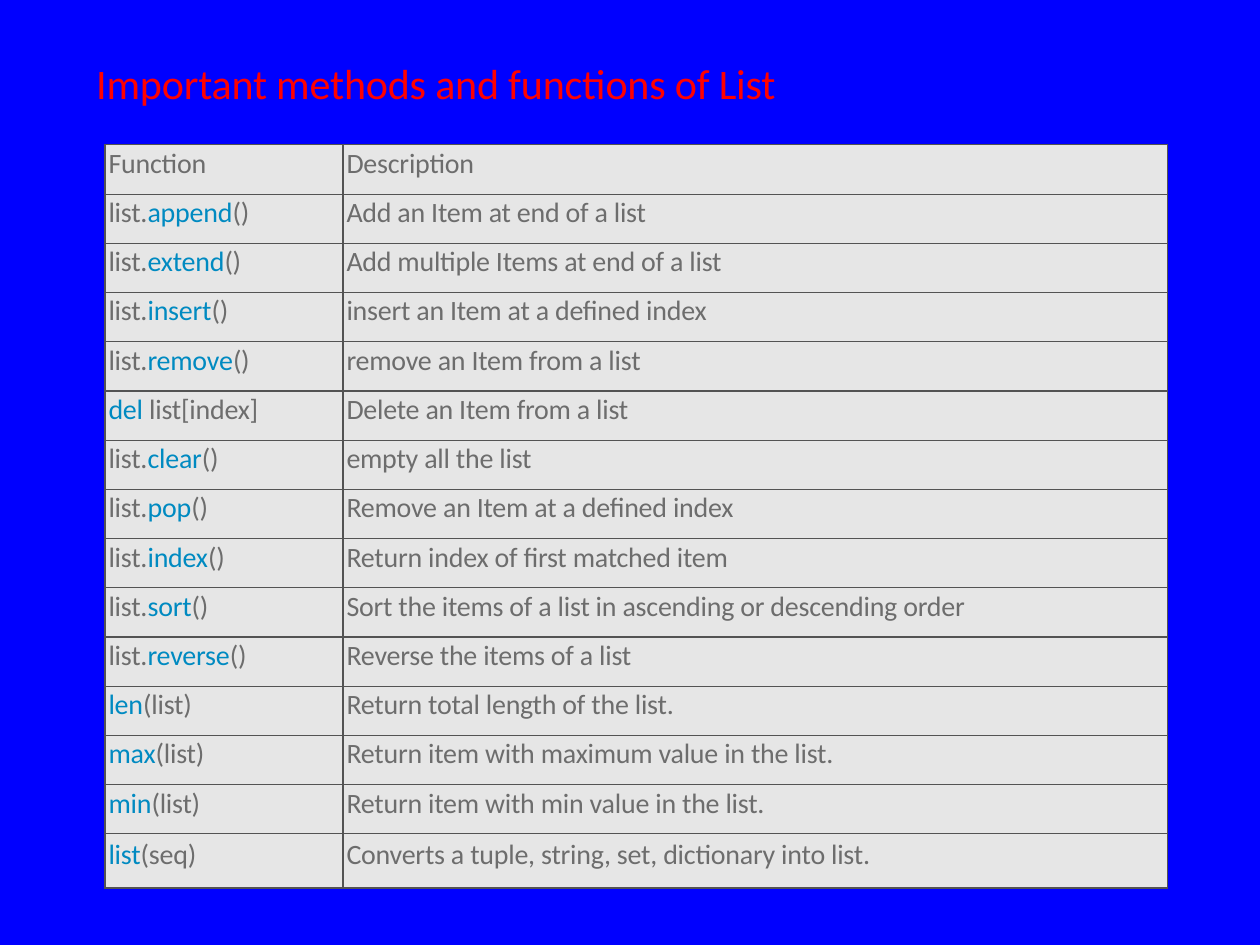
from lxml import etree
from pptx import Presentation
from pptx.dml.color import RGBColor
from pptx.oxml.ns import qn
from pptx.util import Pt

FONT = "Calibri"
COLORS = {
    "background": "0000FF",
    "title": "FF0000",
    "text": "6D6D6D",
    "keyword": "008AC1",
    "cell": "E6E6E6",
    "border": "535353",
}
HEADER = ("Function", "Description")
METHODS = [
    (("list.", "append", "()"), "Add an Item at end of a list"),
    (("list.", "extend", "()"), "Add multiple Items at end of a list"),
    (("list.", "insert", "()"), "insert an Item at a defined index"),
    (("list.", "remove", "()"), "remove an Item from a list"),
    (("", "del ", "list[index]"), "Delete an Item from a list"),
    (("list.", "clear", "()"), "empty all the list"),
    (("list.", "pop", "()"), "Remove an Item at a defined index"),
    (("list.", "index", "()"), "Return index of first matched item"),
    (("list.", "sort", "()"), "Sort the items of a list in ascending or descending order"),
    (("list.", "reverse", "()"), "Reverse the items of a list"),
    (("", "len", "(list)"), "Return total length of the list."),
    (("", "max", "(list)"), "Return item with maximum value in the list."),
    (("", "min", "(list)"), "Return item with min value in the list."),
    (("", "list", "(seq)"), "Converts a tuple, string, set, dictionary into list."),
]


def rgb(name):
    """Return the named colour."""
    return RGBColor.from_string(COLORS[name])


def set_margins(box, top):
    """Remove the insets of a cell or text frame, except the top one."""
    box.margin_left = box.margin_right = box.margin_bottom = 0
    box.margin_top = Pt(top)


def write(p, runs, size, indent, before):
    """Fill a paragraph with (text, colour) runs."""
    p.font.name, p.font.size = FONT, Pt(size)
    p.space_before = Pt(before)
    pPr = p._p.get_or_add_pPr()
    pPr.set("marL", str(Pt(indent)))
    pPr.set("indent", "0")
    for text, color in runs:
        if text:
            r = p.add_run()
            r.text = text
            r.font.color.rgb = rgb(color)
            r._r.get_or_add_rPr().set("spc", "-10")


def set_borders(cell, width):
    """Draw all four sides of a cell."""
    tcPr = cell._tc.get_or_add_tcPr()
    for i, side in enumerate(("a:lnL", "a:lnR", "a:lnT", "a:lnB")):
        ln = etree.Element(qn(side), w=str(Pt(width)))
        fill = etree.SubElement(ln, qn("a:solidFill"))
        etree.SubElement(fill, qn("a:srgbClr"), val=COLORS["border"])
        tcPr.insert(i, ln)


def add_title(slide, x, y, w, h):
    """Place the slide heading."""
    tf = slide.shapes.add_textbox(Pt(x), Pt(y), Pt(w), Pt(h)).text_frame
    tf.word_wrap = True
    set_margins(tf, 1)
    write(tf.paragraphs[0], [("Important methods and functions of List", "title")], 24, 1, 1)


def add_methods_table(slide, x, y, w, h):
    """Place the table of list functions, with a slightly taller last row."""
    rows = [([(HEADER[0], "text")], HEADER[1])]
    rows += [(list(zip(call, ("text", "keyword", "text"))), note) for call, note in METHODS]
    last = len(rows) - 1
    last_h, first_w = 31, 136
    row_h = (h - last_h) / last
    table = slide.shapes.add_table(len(rows), 2, Pt(x), Pt(y), Pt(w), Pt(h)).table
    table.first_row = table.horz_banding = False
    table.columns[0].width, table.columns[1].width = Pt(first_w), Pt(w - first_w)
    for i, (call, note) in enumerate(rows):
        table.rows[i].height = Pt(last_h if i == last else row_h)
        top = 2.2 if i == last else 1
        for j, runs in enumerate((call, [(note, "text")])):
            cell = table.cell(i, j)
            set_margins(cell, top)
            cell.fill.solid()
            cell.fill.fore_color.rgb = rgb("cell")
            set_borders(cell, 0.75)
            write(cell.text_frame.paragraphs[0], runs, 16, 2, top)


def main():
    """Build and save the slide."""
    prs = Presentation()
    prs.slide_width, prs.slide_height = Pt(720), Pt(540)
    s = prs.slides.add_slide(prs.slide_layouts[6])
    s.background.fill.solid()
    s.background.fill.fore_color.rgb = rgb("background")
    add_title(s, 54, 32, 394, 31)
    add_methods_table(s, 60, 82.8, 607, 425)
    prs.save("out.pptx")


if __name__ == "__main__":
    main()
